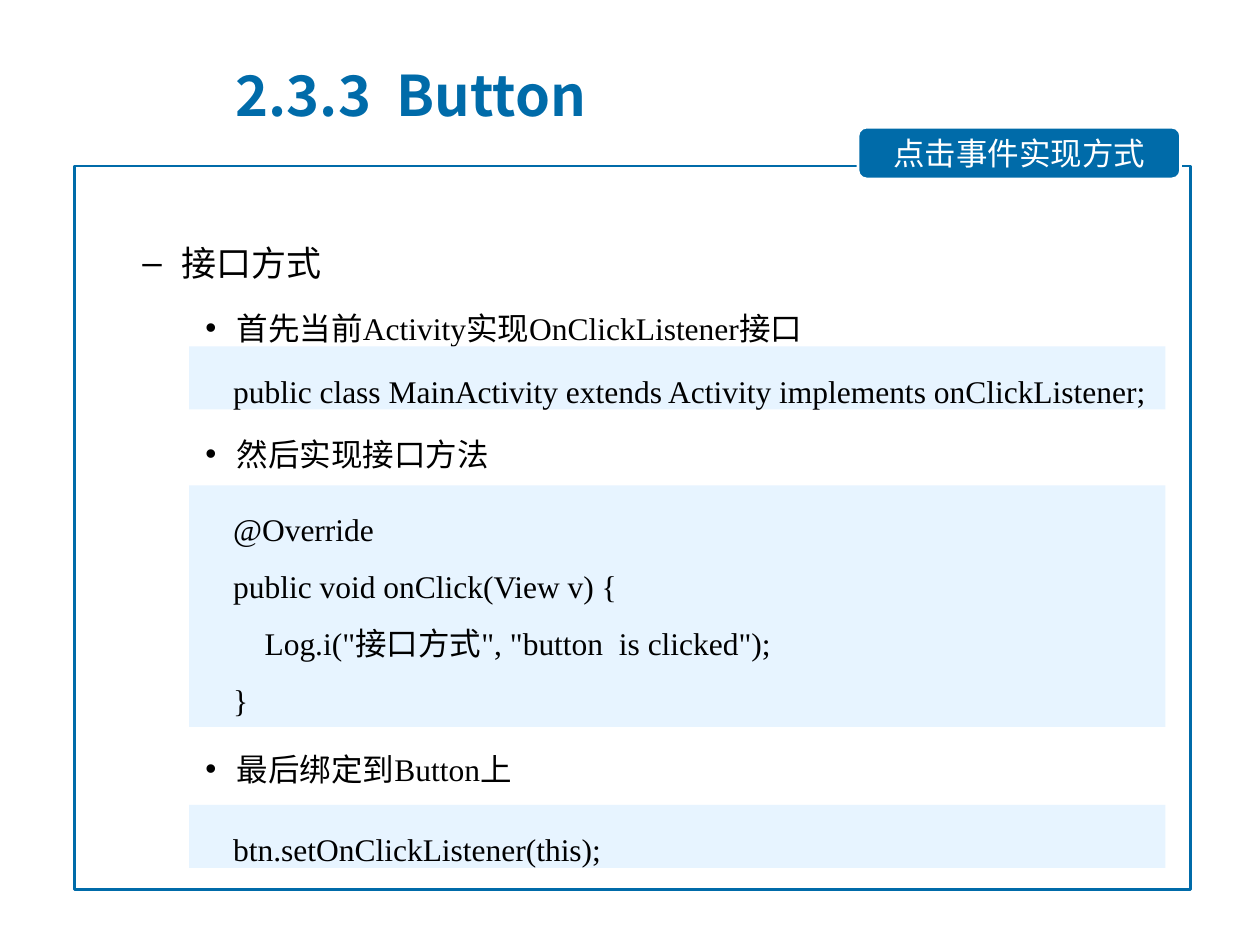
"""Build the Button slide on handling clicks through an interface."""
from pptx import Presentation
from pptx import util as u
from pptx.dml.color import RGBColor
from pptx.enum import shapes, text

COLORS = {"blue": "006BA9", "pale": "E7F4FF", "white": "FFFFFF", "black": "000000"}
SANS, SERIF = "Noto Sans CJK SC", "Times New Roman"


def write(paragraph, words, font="Arial", size=18, color="black", bold=False,
          align=text.PP_ALIGN.LEFT, spacing=None, before=0):
    paragraph.alignment = align
    paragraph.line_spacing = spacing
    paragraph.space_before = u.Pt(before)
    run = paragraph.add_run()
    run.text = words
    run.font.name, run.font.size, run.font.bold = font, u.Pt(size), bold
    run.font.color.rgb = RGBColor.from_string(COLORS[color])


def add_panel(kind, left, top, width, height, fill=None, line=None):
    panel = slide.shapes.add_shape(kind, u.Pt(left), u.Pt(top), u.Pt(width), u.Pt(height))
    panel.shadow.inherit = False
    if fill:
        panel.fill.solid()
        panel.fill.fore_color.rgb = RGBColor.from_string(COLORS[fill])
    else:
        panel.fill.background()
    if line:
        panel.line.color.rgb = RGBColor.from_string(COLORS[line])
        panel.line.width = u.Pt(1.5)
    else:
        panel.line.fill.background()
    return panel


deck = Presentation()
deck.slide_width, deck.slide_height = u.Pt(720), u.Pt(540)
slide = deck.slides.add_slide(deck.slide_layouts[1])

heading = slide.shapes.title
heading.left, heading.top, heading.width, heading.height = u.Pt(127.4), u.Pt(31.7), u.Pt(556), u.Pt(44)
heading.text_frame.auto_size = text.MSO_AUTO_SIZE.NONE
heading.text_frame.vertical_anchor = text.MSO_ANCHOR.MIDDLE
write(heading.text_frame.paragraphs[0], "2.3.3  Button", font=SANS, size=32, color="blue", bold=True)

add_panel(shapes.MSO_SHAPE.RECTANGLE, 42.5, 95, 638, 413.3, line="blue")
topic = add_panel(shapes.MSO_SHAPE.ROUNDED_RECTANGLE, 490.3, 72.7, 184.3, 29.5, fill="blue", line="white")
topic.text_frame.vertical_anchor = text.MSO_ANCHOR.MIDDLE
write(topic.text_frame.paragraphs[0], "点击事件实现方式", font=SANS, color="white",
      align=text.PP_ALIGN.CENTER)

steps = slide.placeholders[1]
steps.left, steps.top, steps.width, steps.height = u.Pt(38.2), u.Pt(122.4), u.Pt(628), u.Pt(360)
steps.text_frame.auto_size = text.MSO_AUTO_SIZE.NONE
STEP_LINES = [
    ("接口方式", 1, "Arial", 20, 0),
    ("首先当前Activity实现OnClickListener接口", 2, SERIF, 18, 3.6),
    ("然后实现接口方法", 2, SERIF, 18, 39.6),
    ("最后绑定到Button上", 2, SERIF, 18, 147.6),
]
INDENTS = {1: (58.5, -22.5), 2: (90, -18)}
for number, (words, level, font, size, before) in enumerate(STEP_LINES):
    step = steps.text_frame.add_paragraph() if number else steps.text_frame.paragraphs[0]
    step.level = level
    margin, hanging = INDENTS[level]
    properties = step._p.get_or_add_pPr()
    properties.set("marL", str(u.Pt(margin)))
    properties.set("indent", str(u.Pt(hanging)))
    write(step, words, font=font, size=size, spacing=1.5, before=before)

LISTINGS = [
    (198, 36, ["public class MainActivity extends Activity implements onClickListener;"]),
    (277.4, 138, ["@Override", "public void onClick(View v) {",
                  '    Log.i("接口方式", "button  is clicked");', "}"]),
    (460, 36, ["btn.setOnClickListener(this);"]),
]
for top, height, code_lines in LISTINGS:
    listing = add_panel(shapes.MSO_SHAPE.RECTANGLE, 108, top, 558, height, fill="pale")
    listing.text_frame.word_wrap = True
    listing.text_frame.margin_left = u.Pt(25.2)
    listing.text_frame.vertical_anchor = text.MSO_ANCHOR.TOP
    for number, code in enumerate(code_lines):
        row = listing.text_frame.add_paragraph() if number else listing.text_frame.paragraphs[0]
        write(row, code, font=SERIF, spacing=1.5)

deck.save("out.pptx")
